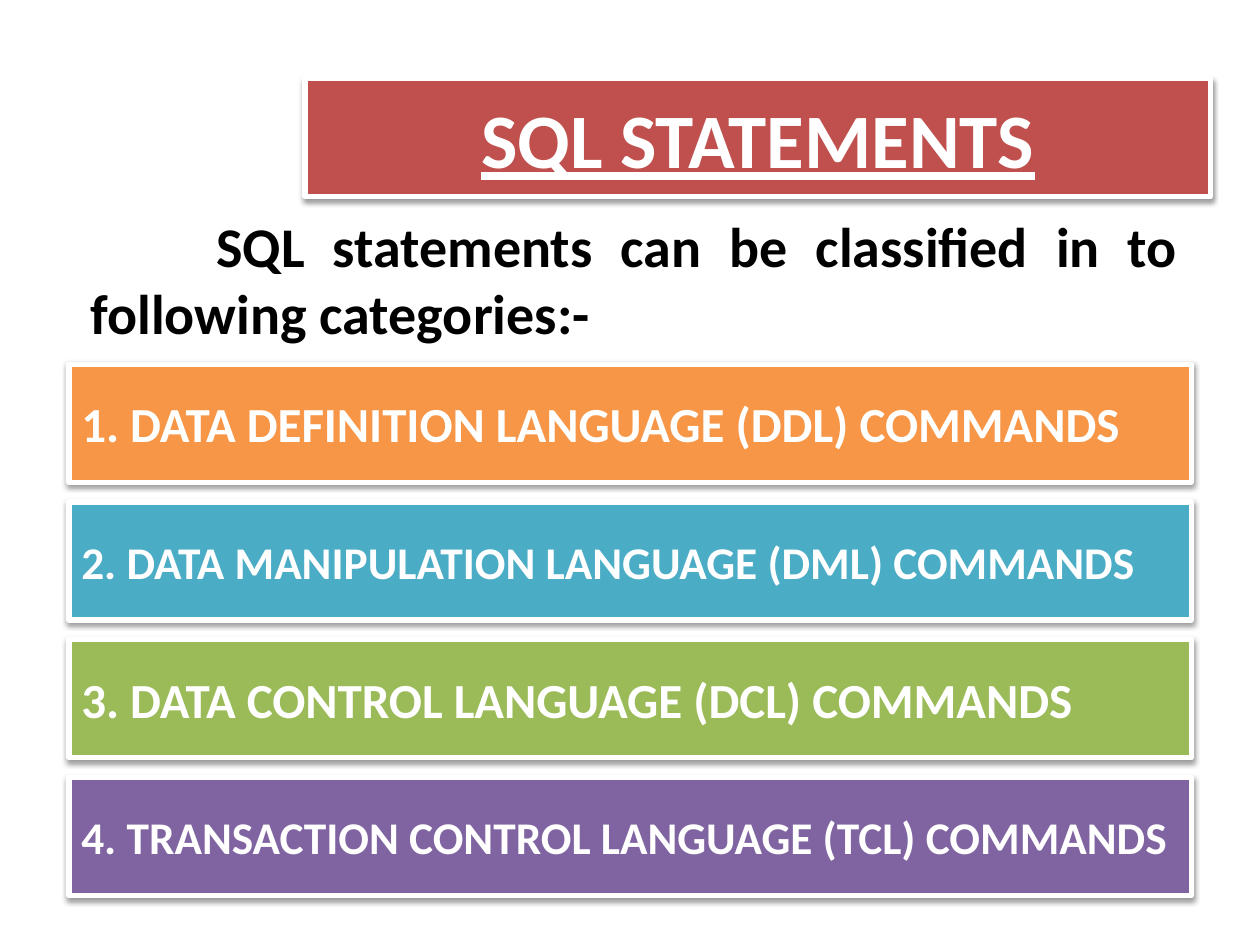
from lxml.etree import SubElement
from pptx import Presentation
from pptx.dml.color import RGBColor
from pptx.enum.shapes import MSO_SHAPE
from pptx.enum.text import MSO_ANCHOR, PP_ALIGN
from pptx.oxml.ns import qn
from pptx.util import Pt

WHITE = RGBColor(0xFF, 0xFF, 0xFF)
BLACK = RGBColor(0x00, 0x00, 0x00)
RED = RGBColor(0xC0, 0x50, 0x4D)
ORANGE = RGBColor(0xF7, 0x96, 0x46)
BLUE = RGBColor(0x4B, 0xAC, 0xC6)
GREEN = RGBColor(0x9B, 0xBB, 0x59)
PURPLE = RGBColor(0x80, 0x64, 0xA2)

FONT = "Calibri"
BAR = 67.5
PITCH = 78.7
GROUPS = [
    ("1. DATA DEFINITION LANGUAGE (DDL) COMMANDS", ORANGE, 28),
    ("2. DATA MANIPULATION LANGUAGE (DML) COMMANDS", BLUE, 25.9),
    ("3. DATA CONTROL LANGUAGE (DCL) COMMANDS", GREEN, 28),
    ("4. TRANSACTION CONTROL LANGUAGE (TCL) COMMANDS", PURPLE, 25.9),
]


def write(shape, text, size, color=WHITE, align=PP_ALIGN.JUSTIFY,
          anchor=MSO_ANCHOR.MIDDLE, underline=False, indent=0):
    frame = shape.text_frame
    frame.word_wrap = True
    frame.vertical_anchor = anchor
    para = frame.paragraphs[0]
    para.alignment = align
    if indent:
        para._p.get_or_add_pPr().set("indent", str(Pt(indent)))
    run = para.add_run()
    run.text = text
    font = run.font
    font.name, font.size, font.bold = FONT, Pt(size), True
    font.underline = underline
    font.color.rgb = color


def add_shade(shape):
    """Give the shape a soft black shadow that falls straight down."""
    shape.shadow.inherit = False
    effects = shape._element.spPr.find(qn("a:effectLst"))
    shade = SubElement(effects, qn("a:outerShdw"), blurRad=str(Pt(3.1)),
                       dist=str(Pt(1.6)), dir="5400000", rotWithShape="0")
    black = SubElement(shade, qn("a:srgbClr"), val=str(BLACK))
    SubElement(black, qn("a:alpha"), val="38000")


def add_bar(slide, left, top, width, height, fill):
    bar = slide.shapes.add_shape(MSO_SHAPE.RECTANGLE, Pt(left), Pt(top),
                                 Pt(width), Pt(height))
    bar.fill.solid()
    bar.fill.fore_color.rgb = fill
    bar.line.color.rgb = WHITE
    bar.line.width = Pt(3)
    add_shade(bar)
    return bar


def add_title(slide, left, top, width, height):
    bar = add_bar(slide, left, top, width, height, RED)
    write(bar, "SQL STATEMENTS", 44, align=PP_ALIGN.CENTER, underline=True)


def add_intro(slide, left, top, width, height):
    box = slide.shapes.add_textbox(Pt(left), Pt(top), Pt(width), Pt(height))
    write(box, "SQL statements can be classified in to following categories:-",
          32, color=BLACK, anchor=MSO_ANCHOR.TOP, indent=72)


def add_groups(slide, left, top, width):
    for row, (text, fill, size) in enumerate(GROUPS):
        bar = add_bar(slide, left, top + row * PITCH, width, BAR, fill)
        write(bar, text, size)


def main():
    deck = Presentation()
    deck.slide_width, deck.slide_height = Pt(720), Pt(540)
    slide = deck.slides.add_slide(deck.slide_layouts[6])
    add_title(slide, 174.4, 44.8, 517.5, BAR)
    add_intro(slide, 44.6, 117.4, 635.8, 85)
    add_groups(slide, 39.4, 208.1, 641.3)
    deck.save("out.pptx")


if __name__ == "__main__":
    main()
